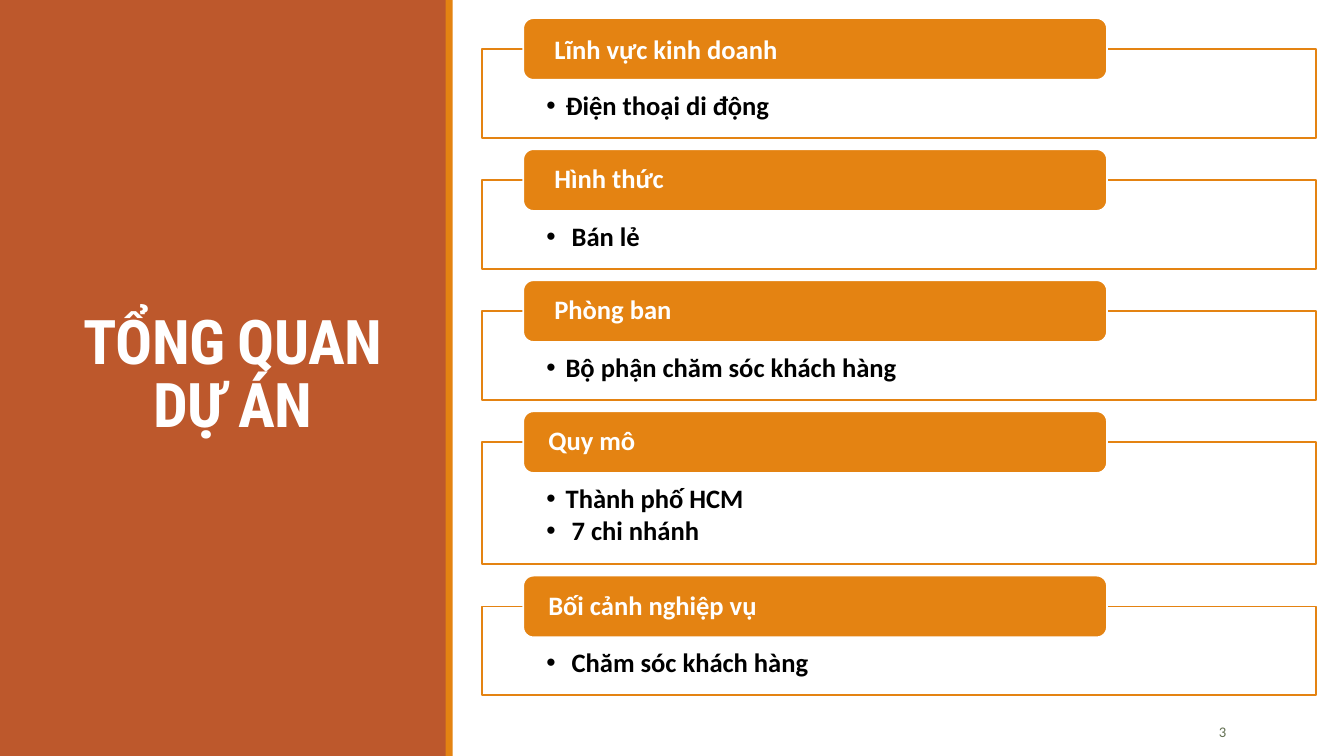
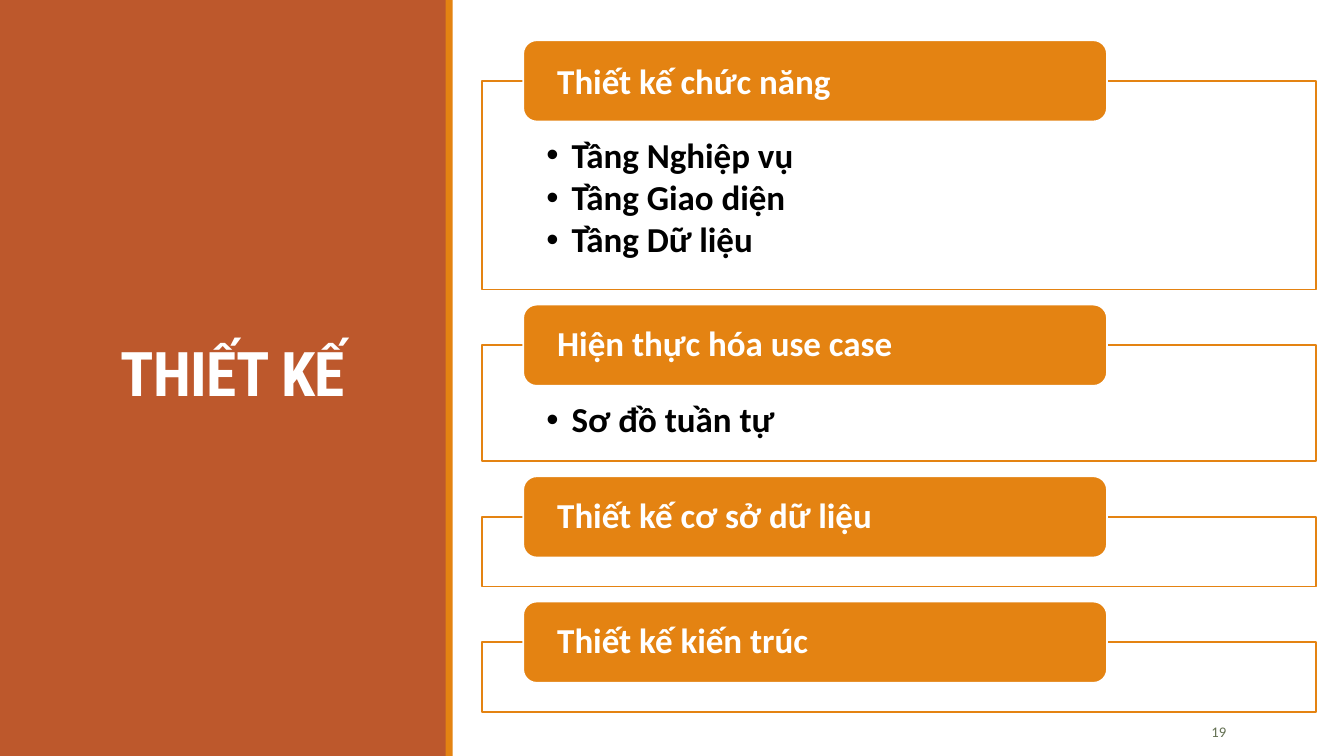
from dataclasses import dataclass

from lxml.etree import SubElement
from pptx import Presentation
from pptx.dml.color import RGBColor
from pptx.enum.shapes import MSO_SHAPE
from pptx.enum.text import MSO_ANCHOR, PP_ALIGN
from pptx.oxml.ns import qn
from pptx.util import Inches, Pt


@dataclass(frozen=True)
class Theme:
    """Colours, fonts and type sizes of the deck."""

    rust: str = "BD582C"
    orange: str = "E48312"
    white: str = "FFFFFF"
    black: str = "000000"
    olive: str = "637052"
    head: str = "Roboto Condensed"
    body: str = "Calibri"
    title_size: float = 44
    number_size: float = 10.5
    line: float = 1.25


def add_text(p, text, *, size, color, font, bold=False, align=PP_ALIGN.LEFT,
             spacing=1.0, after=0, track=0, indent=0):
    """Write text into a paragraph with the given format."""
    p.alignment = align
    p.line_spacing = spacing
    p.space_after = Pt(after)
    for i, part in enumerate(text.split("\n")):
        if i:
            p.add_line_break()
        r = p.add_run()
        r.text = part
        r.font.size = Pt(size)
        r.font.name = font
        r.font.bold = bold
        r.font.color.rgb = RGBColor.from_string(color)
        if track:
            r.font._element.set("spc", str(round(track * 100)))
    if indent:
        ppr = p._p.get_or_add_pPr()
        ppr.set("marL", str(Inches(indent)))
        ppr.set("indent", str(-Inches(indent)))
        SubElement(ppr, qn("a:buFont")).set("typeface", "Arial")
        SubElement(ppr, qn("a:buChar")).set("char", "•")


class Deck:
    """Holds the theme and the current slide; lengths are percent of the slide."""

    def __init__(self, theme):
        """Start an empty widescreen presentation."""
        self.theme = theme
        self.prs = Presentation()
        self.prs.slide_width = Inches(13.33)
        self.prs.slide_height = Inches(7.5)
        self.slide = None

    def place(self, x, y, w, h):
        """Turn percentages of the slide into lengths."""
        sw, sh = self.prs.slide_width, self.prs.slide_height
        return [round(v * full / 100) for v, full in ((x, sw), (y, sh), (w, sw), (h, sh))]

    def box(self, at, fill, line=None, kind=MSO_SHAPE.RECTANGLE):
        """Add a filled shape, with an outline if a line colour is given."""
        sp = self.slide.shapes.add_shape(kind, *self.place(*at))
        sp.shadow.inherit = False
        sp.fill.solid()
        sp.fill.fore_color.rgb = RGBColor.from_string(fill)
        if line:
            sp.line.color.rgb = RGBColor.from_string(line)
            sp.line.width = Pt(self.theme.line)
        else:
            sp.line.fill.background()
        return sp

    def label(self, at, text, **fmt):
        """Add a wrapped text box centred vertically."""
        tf = self.slide.shapes.add_textbox(*self.place(*at)).text_frame
        tf.word_wrap = True
        tf.vertical_anchor = MSO_ANCHOR.MIDDLE
        add_text(tf.paragraphs[0], text, **fmt)

    def new_slide(self, title, number):
        """Add a slide with its side panel, title and number."""
        t = self.theme
        self.slide = self.prs.slides.add_slide(self.prs.slide_layouts[6])
        self.box((0, 0, 33.2, 100), t.rust)
        self.label((2.18, 8.8, 30.3, 82.27), title, size=t.title_size, color=t.white,
                   font=t.head, bold=True, align=PP_ALIGN.CENTER, spacing=0.85, track=-0.5)
        self.box((33.15, 0, 0.53, 100), t.orange)
        self.label((83.05, 94.13, 8.93, 5.33), str(number), size=t.number_size,
                   color=t.olive, font=t.body, align=PP_ALIGN.RIGHT)

    def frame(self, y, h, items, size):
        """Add an outlined frame with bulleted items."""
        t = self.theme
        tf = self.box((35.86, y, 62.04, h), t.white, t.orange).text_frame
        tf.word_wrap = True
        tf.vertical_anchor = MSO_ANCHOR.TOP
        tf.margin_left = tf.margin_right = Inches(0.64)
        tf.margin_top = Inches(size * 0.0227)
        tf.margin_bottom = 0
        for i, item in enumerate(items):
            p = tf.add_paragraph() if i else tf.paragraphs[0]
            add_text(p, item, size=size, color=t.black, font=t.body, bold=True,
                     spacing=0.9, after=size * 0.13, indent=size / 100)

    def tab(self, y, h, text, size, spacing):
        """Add a rounded heading tab."""
        t = self.theme
        sp = self.box((38.93, y, 43.44, h), t.orange, t.white, MSO_SHAPE.ROUNDED_RECTANGLE)
        tf = sp.text_frame
        tf.word_wrap = True
        tf.vertical_anchor = MSO_ANCHOR.MIDDLE
        tf.margin_left = tf.margin_right = Inches(0.22)
        tf.margin_top = tf.margin_bottom = 0
        add_text(tf.paragraphs[0], text, size=size, color=t.white, font=t.body,
                 bold=True, spacing=spacing)

    def sections(self, sections, *, top, size, base, row):
        """Stack framed sections, each as tall as its items need."""
        tab, gap = size * 0.43, size * 0.08
        y = top
        for i, (heading, items) in enumerate(sections):
            h = base + row * len(items)
            self.frame(y + tab / 2, h, items, size)
            self.tab(y, tab, heading, size, 0.9 if i else 1.0)
            y += tab / 2 + h + gap


OVERVIEW = [
    (" Lĩnh vực kinh doanh", ["Điện thoại di động"]),
    (" Hình thức", [" Bán lẻ"]),
    (" Phòng ban", ["Bộ phận chăm sóc khách hàng"]),
    ("Quy mô", ["Thành phố HCM", " 7 chi nhánh"]),
    ("Bối cảnh nghiệp vụ", [" Chăm sóc khách hàng"]),
]
DESIGN = [
    (" Thiết kế chức năng", ["Tầng Nghiệp vụ", "Tầng Giao diện", "Tầng Dữ liệu"]),
    (" Hiện thực hóa use case", ["Sơ đồ tuần tự"]),
    (" Thiết kế cơ sở dữ liệu", []),
    (" Thiết kế kiến trúc", []),
]


def main():
    """Build and save the deck."""
    deck = Deck(Theme())
    deck.new_slide("TỔNG QUAN\nDỰ ÁN", 3)
    deck.sections(OVERVIEW, top=2.4, size=19, base=7.33, row=4.4)
    deck.new_slide("THIẾT KẾ", 19)
    deck.sections(DESIGN, top=5.33, size=25, base=9.2, row=6.13)
    deck.prs.save("out.pptx")


if __name__ == "__main__":
    main()
